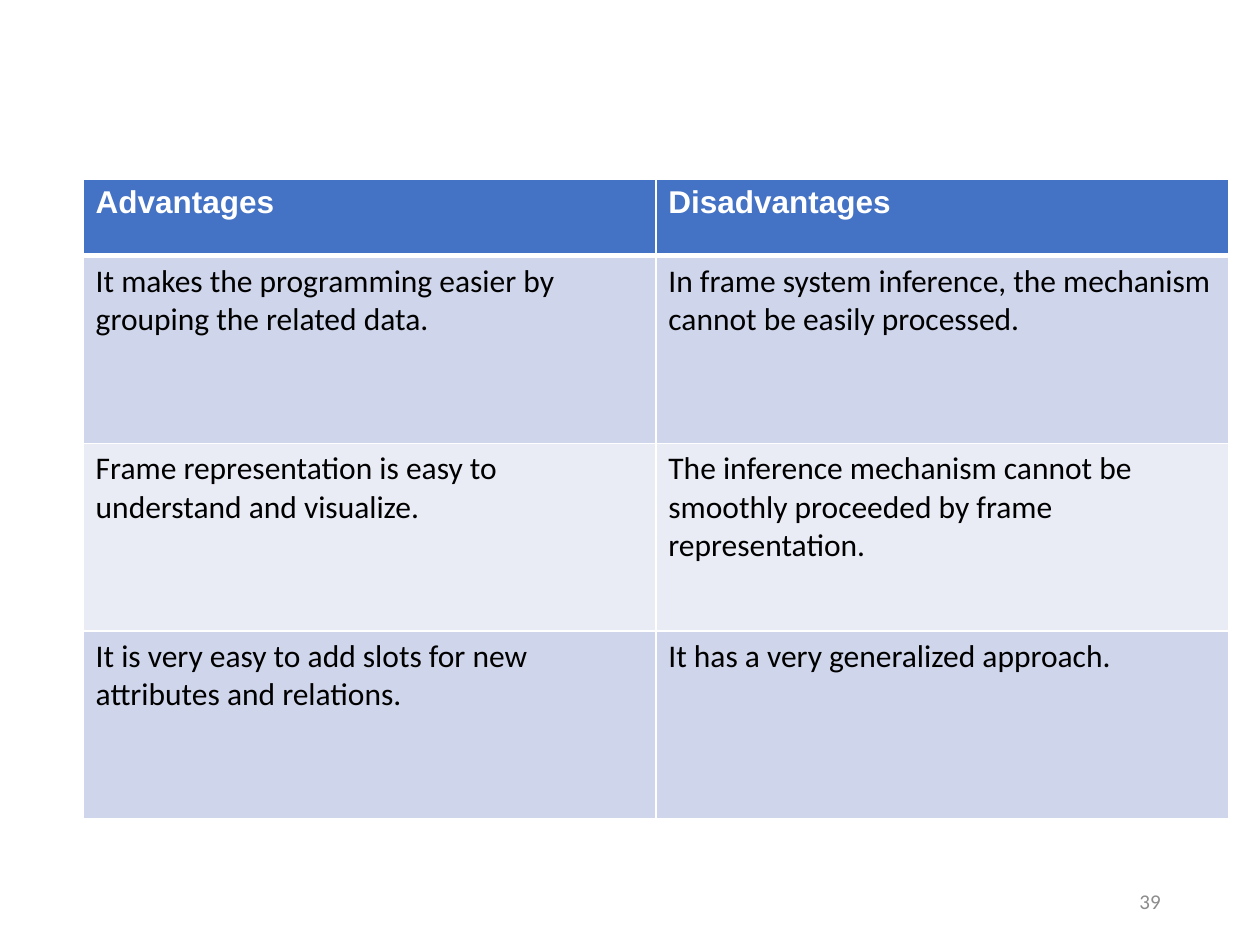
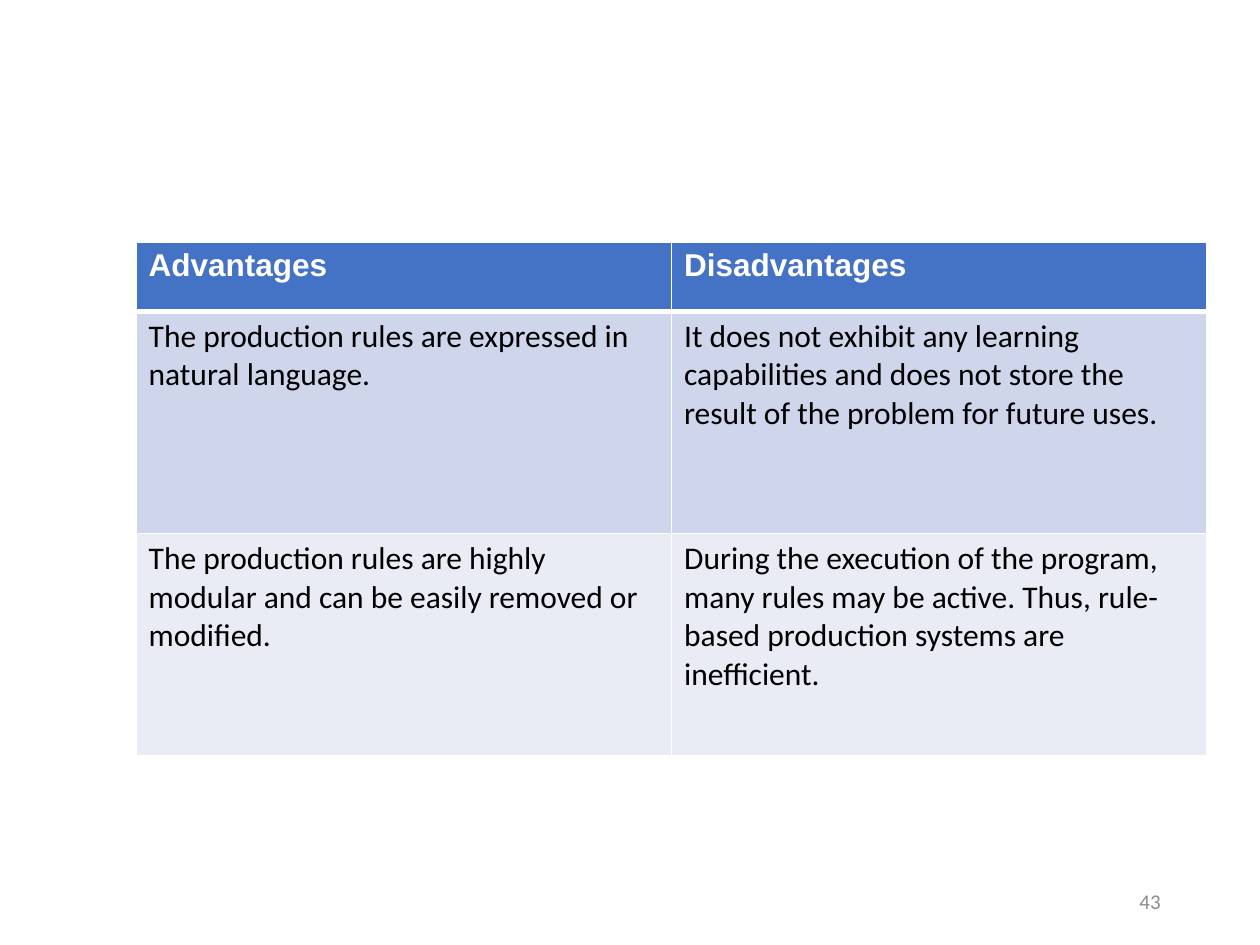
from lxml import etree
from pptx import Presentation
from pptx.dml.color import RGBColor
from pptx.enum.text import MSO_ANCHOR, PP_ALIGN
from pptx.oxml.ns import qn
from pptx.util import Inches, Pt

WHITE = RGBColor(0xFF, 0xFF, 0xFF)
BLACK = RGBColor(0x00, 0x00, 0x00)
GRAY = RGBColor(0x8C, 0x8C, 0x8C)
HEADER_BLUE = RGBColor(0x44, 0x72, 0xC4)
BANDS = [RGBColor(0xCF, 0xD5, 0xEA), RGBColor(0xE9, 0xEB, 0xF5)]

HEADER = ("Advantages", "Disadvantages")
SLIDES = [
    dict(number="39", left=0.66, top=1.42, col_width=4.545, header_height=0.61, row_height=1.49, rows=[
        ("It makes the programming easier by grouping the related data.",
         "In frame system inference, the mechanism cannot be easily processed."),
        ("Frame representation is easy to understand and visualize.",
         "The inference mechanism cannot be smoothly proceeded by frame representation."),
        ("It is very easy to add slots for new attributes and relations.",
         "It has a very generalized approach."),
    ]),
    dict(number="43", left=1.08, top=1.92, col_width=4.25, header_height=0.55, row_height=1.765, rows=[
        ("The production rules are expressed in natural language.",
         "It does not exhibit any learning capabilities and does not store the result "
         "of the problem for future uses."),
        ("The production rules are highly modular and can be easily removed or modified.",
         "During the execution of the program, many rules may be active. Thus, rule-based "
         "production systems are inefficient."),
    ]),
]


def write(tf, text, size=18, font="Calibri", color=BLACK, bold=False, align=PP_ALIGN.LEFT):
    tf.word_wrap = True
    p = tf.paragraphs[0]
    p.alignment = align
    r = p.add_run()
    r.text = text
    r.font.size = Pt(size)
    r.font.name = font
    r.font.bold = bold
    r.font.color.rgb = color


def add_borders(cell, **widths):
    """Draw white borders; widths maps L, R, T, B (in that order) to points."""
    tcPr = cell._tc.get_or_add_tcPr()
    for side, width in widths.items():
        ln = etree.SubElement(tcPr, qn(f"a:ln{side}"), w=str(Pt(width)))
        fill = etree.SubElement(ln, qn("a:solidFill"))
        etree.SubElement(fill, qn("a:srgbClr"), val=str(WHITE))


prs = Presentation()
prs.slide_width = Inches(10)
prs.slide_height = Inches(7.5)

for page in SLIDES:
    s = prs.slides.add_slide(prs.slide_layouts[6])
    rows = [HEADER] + page["rows"]
    height = page["header_height"] + page["row_height"] * len(page["rows"])
    table = s.shapes.add_table(
        len(rows), len(HEADER), Inches(page["left"]), Inches(page["top"]),
        Inches(page["col_width"] * len(HEADER)), Inches(height)).table
    for col in table.columns:
        col.width = Inches(page["col_width"])

    for i, texts in enumerate(rows):
        is_header = i == 0
        table.rows[i].height = Inches(page["header_height" if is_header else "row_height"])
        for j, text in enumerate(texts):
            cell = table.cell(i, j)
            add_borders(cell, L=1, R=1, T=3 if i == 1 else 1, B=3 if is_header else 1)
            cell.fill.solid()
            if is_header:
                cell.fill.fore_color.rgb = HEADER_BLUE
                write(cell.text_frame, text, font="Arial", color=WHITE, bold=True)
            else:
                cell.fill.fore_color.rgb = BANDS[(i - 1) % 2]
                write(cell.text_frame, text)

    tf = s.shapes.add_textbox(Inches(7.06), Inches(6.95), Inches(2.25), Inches(0.4)).text_frame
    tf.vertical_anchor = MSO_ANCHOR.MIDDLE
    write(tf, page["number"], size=12, color=GRAY, align=PP_ALIGN.RIGHT)

prs.save("out.pptx")
